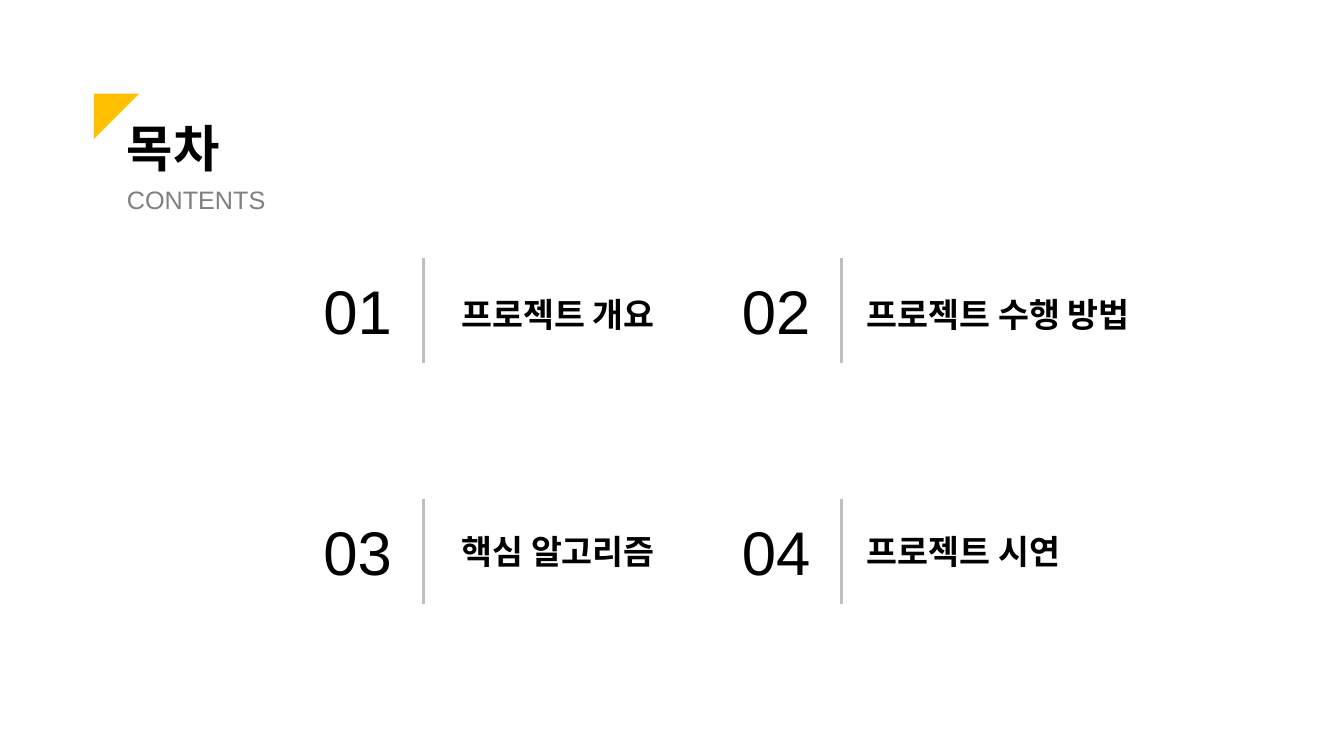
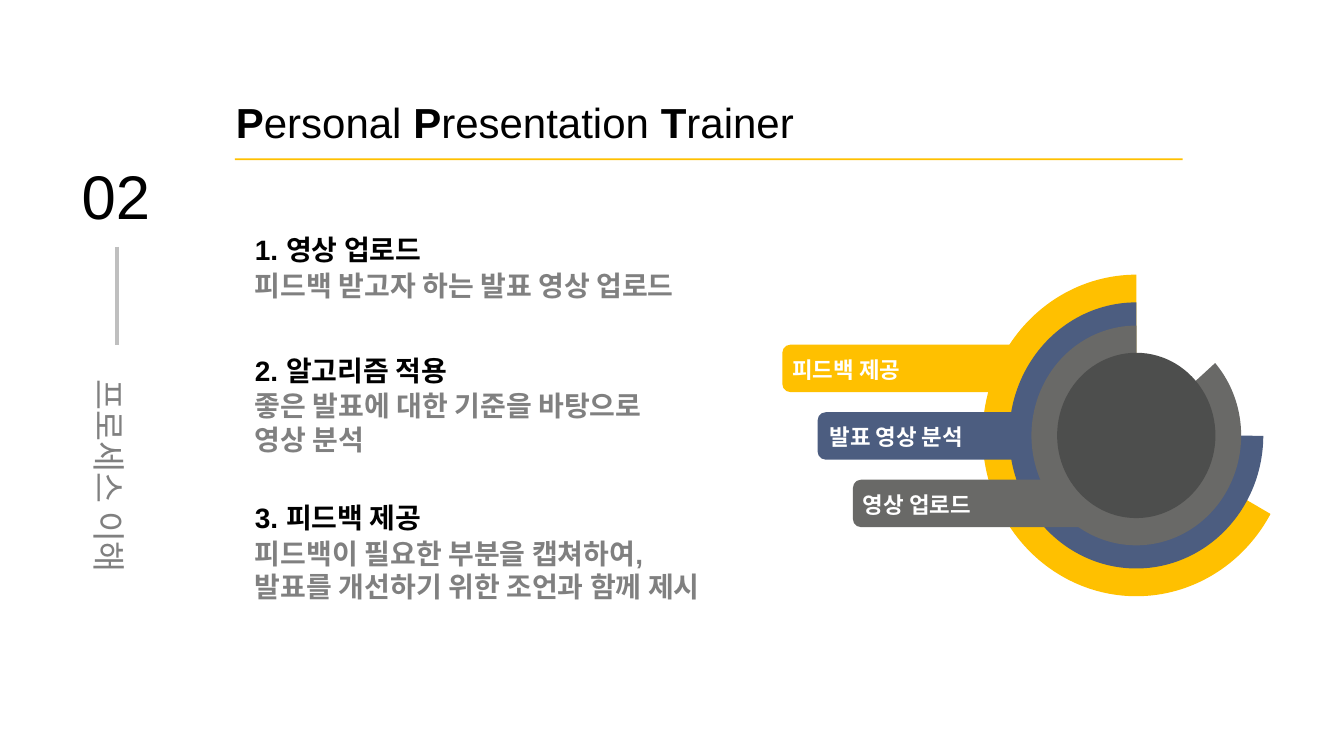
from dataclasses import dataclass

from lxml import etree
from pptx import Presentation, util as u
from pptx.dml.color import RGBColor
from pptx.enum import shapes as sh, text as tx
from pptx.oxml.ns import qn


@dataclass(frozen=True)
class Theme:
    font: str = "Arial"
    black: str = "000000"
    white: str = "FFFFFF"
    gray: str = "808080"
    rule: str = "BFBFBF"
    gold: str = "FFC000"
    blue: str = "4C5D80"
    ash: str = "696967"
    core: str = "4D4E4D"
    number: int = 44
    title: int = 36
    head: int = 30
    label: int = 24
    body: int = 20
    small: int = 18
    tag: int = 16
    stroke: float = 2.25


T = Theme()
KIND = sh.MSO_SHAPE


def inches(*vals):
    return [u.Inches(v) for v in vals]


def write(slide, box, lines, size, color=T.black, bold=False, center=False):
    area = slide.shapes.add_textbox(*inches(*box))
    frame = area.text_frame
    frame.word_wrap = True
    for i, line in enumerate(lines):
        para = frame.paragraphs[0] if i == 0 else frame.add_paragraph()
        if center:
            para.alignment = tx.PP_ALIGN.CENTER
        for words, strong in ([(line, bold)] if isinstance(line, str) else line):
            run = para.add_run()
            run.text = words
            run.font.name = T.font
            run.font.size = u.Pt(size)
            run.font.bold = strong
            run.font.color.rgb = RGBColor.from_string(color)
    return area


def draw(slide, kind, box, color, *adjs):
    item = slide.shapes.add_shape(kind, *inches(*box))
    item.shadow.inherit = False
    item.fill.solid()
    item.fill.fore_color.rgb = RGBColor.from_string(color)
    item.line.fill.background()
    for i, adj in enumerate(adjs):
        item.adjustments[i] = adj
    return item


def divide(slide, x, y, length):
    line = slide.shapes.add_connector(
        sh.MSO_CONNECTOR.STRAIGHT, *inches(x, y, x, y + length))
    line.line.color.rgb = RGBColor.from_string(T.rule)
    line.line.width = u.Pt(T.stroke)
    etree.SubElement(line._element.spPr, qn("a:effectLst"))


def heading(slide, x, y, title, sub):
    draw(slide, KIND.RIGHT_TRIANGLE, (x, y, 0.45, 0.45), T.gold).rotation = 90
    write(slide, (x + 0.23, y + 0.18, 1.79, 0.71), [title], T.title, bold=True)
    write(slide, (x + 0.23, y + 0.85, 1.79, 0.4), [sub], T.small, T.gray)


def entry(slide, x, y, shift, drop, num, name):
    write(slide, (x, y, 0.93, 0.84), [num], T.number)
    divide(slide, x + 1.09, y - 0.1, 1.04)
    write(slide, (x + shift, y + drop, 3.65, 0.5), [name], T.label, bold=True)


def contents(slide):
    heading(slide, 0.93, 0.93, "목차", "CONTENTS")
    names = ["프로젝트 개요", "프로젝트 수행 방법", "핵심 알고리즘", "프로젝트 시연"]
    cols = [(3.11, 1.37), (7.26, 1.24)]
    rows = [(2.66, 0.21), (5.05, 0.17)]
    for i, name in enumerate(names):
        (x, shift), (y, drop) = cols[i % 2], rows[i // 2]
        entry(slide, x, y, shift, drop, f"{i + 1:02}", name)


def sidebar(slide, x, y, num, name):
    write(slide, (x, y, 1.24, 0.84), [num], T.number, center=True)
    divide(slide, x + 0.63, y + 0.93, 0.97)
    side = write(slide, (x - 0.95, y + 3.3, 2.91, 0.61), [name], T.label, T.gray)
    side.rotation = 90


def banner(slide, x, y, words):
    runs = [part for word in words for part in ((word[0], True), (word[1:], False))]
    write(slide, (x, y, 7.35, 0.69), [runs], T.head)
    draw(slide, KIND.RECTANGLE, (x + 0.09, y + 0.66, 9.4, 0.02), T.gold)


def step(slide, x, y, title, lines):
    write(slide, (x, y, 3.3, 0.44), [title], T.body, bold=True)
    write(slide, (x, y + 0.35, 5.52, 0.1 + 0.33 * len(lines)), lines,
          T.body, T.gray, True)


def disc(x, y, w, h):
    return x - w / 2, y - h / 2, w, h


def rings(slide, x, y):
    layers = [
        ("피드백 제공", T.gold, 3.05, 3.19, 30.32, 0),
        ("발표 영상 분석", T.blue, 2.52, 2.64, 0.17, 0.02),
        ("영상 업로드", T.ash, 2.08, 2.18, 317.44, 0),
    ]
    turn = 0.6
    for i, (name, color, w, h, start, nudge) in enumerate(layers):
        left, top = x - 3.51 + 0.35 * i, y - 0.9 + 0.67 * i
        draw(slide, KIND.PIE, disc(x, y, w, h), color, start * turn, 270 * turn)
        draw(slide, KIND.ROUNDED_RECTANGLE, (left, top, 2.47, 0.47), color, 0.17)
        write(slide, (left + nudge, top + 0.06, 2.05, 0.37), [name],
              T.tag, T.white, True)
    draw(slide, KIND.OVAL, disc(x, y, 1.57, 1.64), T.core)


def process(slide):
    sidebar(slide, 0.53, 1.52, "02", "프로세스 이해")
    banner(slide, 2.24, 0.91, ["Personal ", "Presentation ", "Trainer"])
    steps = [
        (2.26, "1. 영상 업로드", ["피드백 받고자 하는 발표 영상 업로드"]),
        (3.46, "2. 알고리즘 적용", ["좋은 발표에 대한 기준을 바탕으로", "영상 분석"]),
        (4.92, "3. 피드백 제공",
         ["피드백이 필요한 부분을 캡쳐하여,", "발표를 개선하기 위한 조언과 함께 제시"]),
    ]
    for y, title, lines in steps:
        step(slide, 2.43, y, title, lines)
    rings(slide, 11.27, 4.32)


def main():
    deck = Presentation()
    deck.slide_width, deck.slide_height = inches(13.33, 7.5)
    for build in (contents, process):
        build(deck.slides.add_slide(deck.slide_layouts[6]))
    deck.save("out.pptx")


if __name__ == "__main__":
    main()
